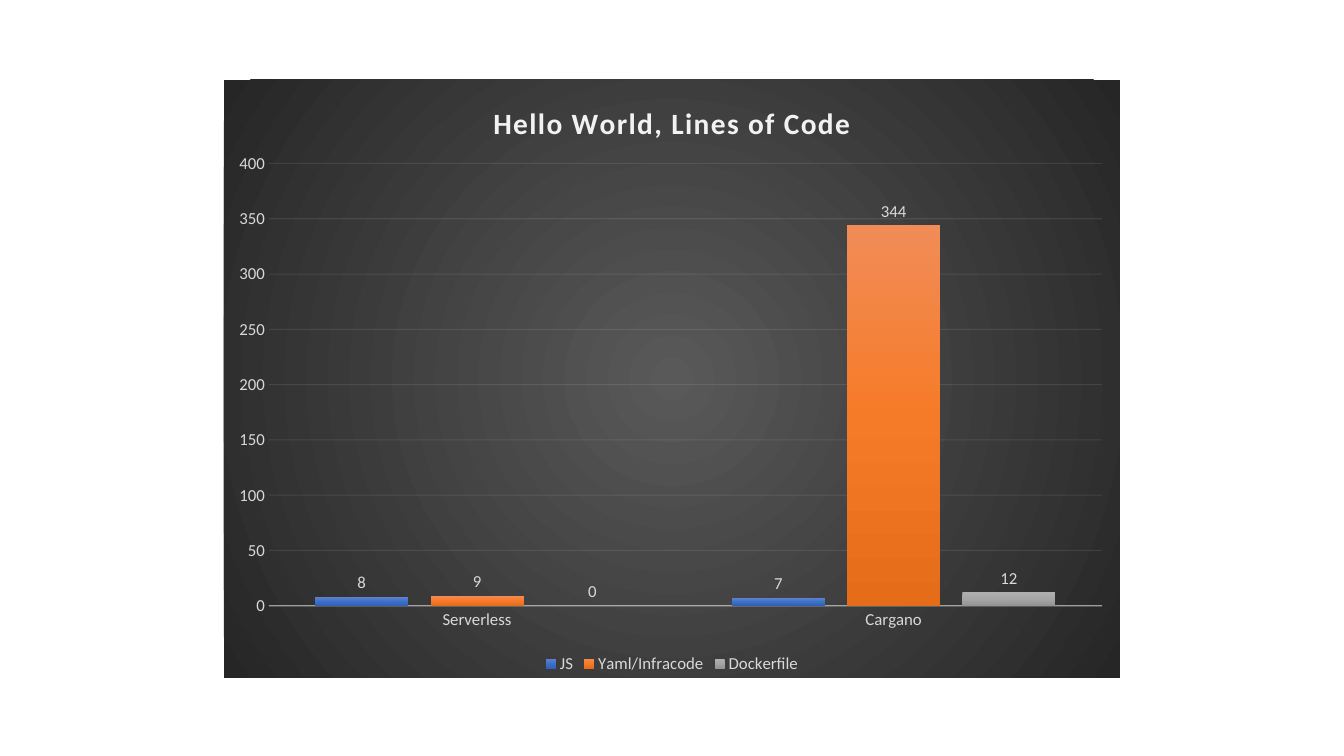
from lxml import etree
from pptx import Presentation
from pptx import util as u
from pptx.chart import data as chart_data
from pptx.dml.color import RGBColor
from pptx.enum import chart as ce
from pptx.oxml import parse_xml, ns

FONT = "Calibri"
WHITE = RGBColor(0xF2, 0xF2, 0xF2)
LIGHT = RGBColor(0xD9, 0xD9, 0xD9)
BACKDROP = (RGBColor(0x59, 0x59, 0x59), RGBColor(0x26, 0x26, 0x26))
BLUES = (RGBColor(0x61, 0x83, 0xCB), RGBColor(0x3E, 0x70, 0xCA), RGBColor(0x30, 0x62, 0xBB))
ORANGES = (RGBColor(0xF1, 0x8C, 0x57), RGBColor(0xF6, 0x7B, 0x28), RGBColor(0xE5, 0x6C, 0x19))
GREYS = (RGBColor(0xAF, 0xAF, 0xAF), RGBColor(0xA5, 0xA5, 0xA5), RGBColor(0x93, 0x93, 0x93))

CATEGORIES = ("Serverless", "Cargano")
SERIES = (
    ("JS", (8, 7), BLUES),
    ("Yaml/Infracode", (9, 344), ORANGES),
    ("Dockerfile", (0, 12), GREYS),
)
PLOT_BOX = {"x": 0.05, "y": 0.14, "w": 0.93, "h": 0.74}
LINEAR = '<a:lin ang="5400000" scaled="0"/>'
RADIAL = '<a:path path="circle"><a:fillToRect l="50000" t="50000" r="50000" b="50000"/></a:path>'


def set_values(target, values):
    for name, value in values.items():
        setattr(target, name, value)


def set_font(font, size, color=LIGHT, **values):
    set_values(font, {"name": FONT, "size": u.Pt(size), **values})
    font.color.rgb = color


def gradient(colors, direction):
    step = 100000 // (len(colors) - 1)
    stops = "".join(
        f'<a:gs pos="{index * step}"><a:srgbClr val="{color}"/></a:gs>'
        for index, color in enumerate(colors)
    )
    return parse_xml(
        f'<a:gradFill {ns.nsdecls("a")} rotWithShape="1">'
        f"<a:gsLst>{stops}</a:gsLst>{direction}</a:gradFill>"
    )


def set_line(chart_format, width, opacity):
    chart_format.line.width = u.Pt(width)
    chart_format.line.color.rgb = WHITE
    properties = chart_format._element.get_or_add_spPr()
    color = next(properties.iter(ns.qn("a:srgbClr")))
    etree.SubElement(color, ns.qn("a:alpha"), val=str(opacity * 1000))


def set_backdrop(chart):
    properties = parse_xml(f'<c:spPr {ns.nsdecls("c", "a")}/>')
    properties.append(gradient(BACKDROP, RADIAL))
    properties.append(parse_xml(f'<a:ln {ns.nsdecls("a")}><a:noFill/></a:ln>'))
    chart._chartSpace.find(ns.qn("c:txPr")).addprevious(properties)


def set_plot_box(chart):
    plot_area = chart._chartSpace.chart.plotArea
    for layout in plot_area.findall(ns.qn("c:layout")):
        plot_area.remove(layout)
    sizes = "".join(f'<c:{name} val="{value}"/>' for name, value in PLOT_BOX.items())
    plot_area.insert(0, parse_xml(
        f'<c:layout {ns.nsdecls("c")}><c:manualLayout><c:layoutTarget val="inner"/>'
        f'<c:xMode val="edge"/><c:yMode val="edge"/>{sizes}</c:manualLayout></c:layout>'
    ))


def add_title(chart, title):
    chart.has_title = True
    run = chart.chart_title.text_frame.paragraphs[0].add_run()
    run.text = title
    set_font(run.font, 21, WHITE, bold=True)
    run._r.get_or_add_rPr().set("spc", "100")
    chart.chart_title.include_in_layout = False


def format_axes(chart):
    for axis in (chart.category_axis, chart.value_axis):
        set_values(axis, {
            "major_tick_mark": ce.XL_TICK_MARK.NONE,
            "minor_tick_mark": ce.XL_TICK_MARK.NONE,
        })
        set_font(axis.tick_labels.font, 12)
    set_line(chart.category_axis.format, 1, 54)
    value_axis = chart.value_axis
    set_values(value_axis, {
        "minimum_scale": 0, "maximum_scale": 400, "major_unit": 50,
        "has_major_gridlines": True,
    })
    value_axis.format.line.fill.background()
    set_line(value_axis.major_gridlines.format, 0.75, 10)


def format_columns(chart):
    plot = chart.plots[0]
    set_values(plot, {"gap_width": 100, "overlap": -24, "vary_by_categories": False})
    for series, (_, _, colors) in zip(plot.series, SERIES):
        series.format._element.get_or_add_spPr().append(gradient(colors, LINEAR))
        labels = series.data_labels
        set_values(labels, {
            "show_value": True,
            "position": ce.XL_LABEL_POSITION.OUTSIDE_END,
        })
        set_font(labels.font, 12)


def add_legend(chart):
    chart.has_legend = True
    set_values(chart.legend, {
        "position": ce.XL_LEGEND_POSITION.BOTTOM,
        "include_in_layout": False,
    })
    set_font(chart.legend.font, 12)


def add_column_chart(slide, title, left, top, width, height):
    data = chart_data.CategoryChartData()
    data.categories = CATEGORIES
    for name, values, _ in SERIES:
        data.add_series(name, values)
    box = [u.Pt(length) for length in (left, top, width, height)]
    chart = slide.shapes.add_chart(ce.XL_CHART_TYPE.COLUMN_CLUSTERED, *box, data).chart
    set_font(chart.font, 12)
    set_backdrop(chart)
    add_title(chart, title)
    set_plot_box(chart)
    format_axes(chart)
    format_columns(chart)
    add_legend(chart)


def main():
    presentation = Presentation()
    set_values(presentation, {"slide_width": u.Pt(960), "slide_height": u.Pt(540)})
    slide = presentation.slides.add_slide(presentation.slide_layouts[6])
    add_column_chart(slide, "Hello World, Lines of Code", 160, 57, 640, 427)
    presentation.save("out.pptx")


if __name__ == "__main__":
    main()
